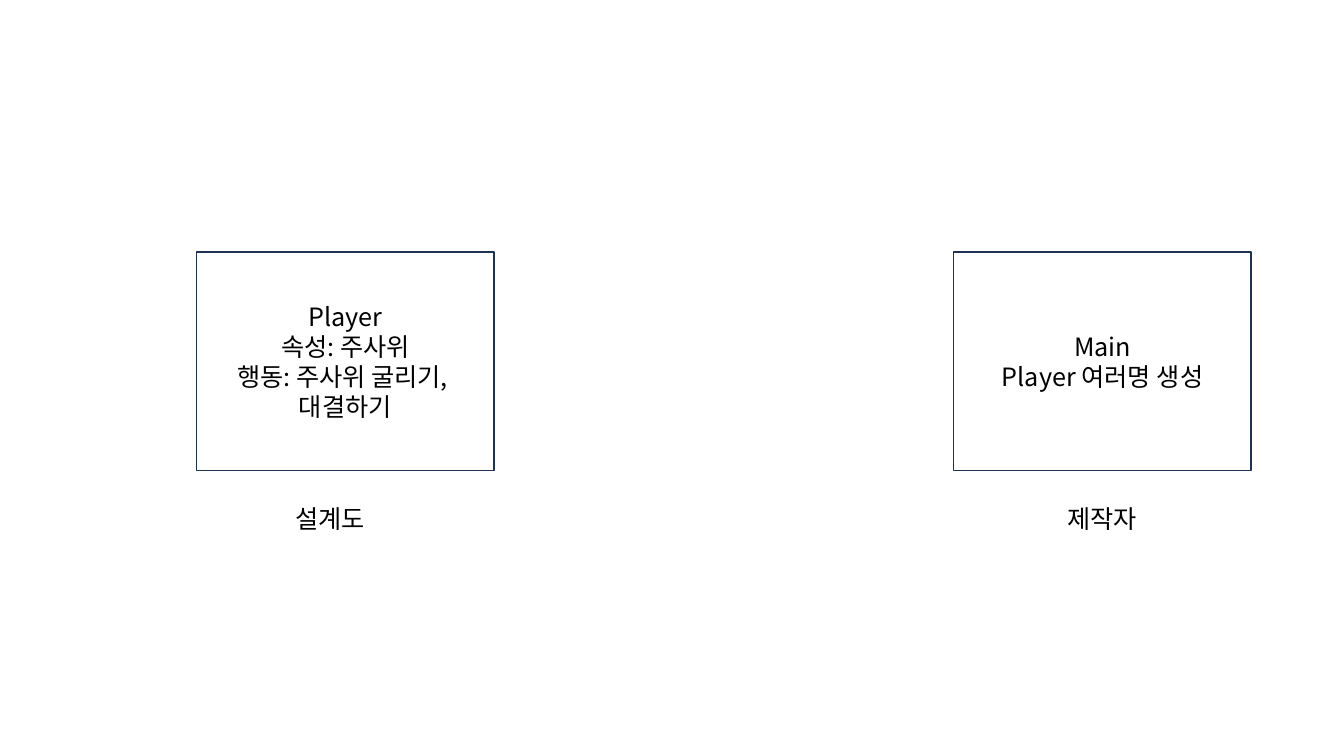
from lxml.etree import SubElement as Sub
from pptx import Presentation
from pptx.dml.color import RGBColor as Rgb
from pptx.enum.shapes import MSO_SHAPE as Kind
from pptx.enum.text import MSO_ANCHOR as Anchor, MSO_AUTO_SIZE as Auto, PP_ALIGN as Align
from pptx.oxml.ns import qn
from pptx.util import Inches, Pt

WIDE, HIGH = 13.33, 7.5


def color(code):
    return Rgb.from_string(code)


class Board:
    """Draws styled boxes and labels on one slide, placed by shares of its size."""

    face, size = "Noto Sans CJK KR", 18
    ink, paper, edge = "000000", "FFFFFF", "1E3256"

    def __init__(self, deck):
        self.wide, self.high = deck.slide_width, deck.slide_height
        self.slide = deck.slides.add_slide(deck.slide_layouts[6])

    def place(self, left, top, width, height):
        return [round(part * full) for part, full in zip(
            (left, top, width, height), (self.wide, self.high) * 2)]

    def fill_text(self, frame, lines, align):
        frame.word_wrap = True
        frame.text = "\n".join(lines)
        for line in frame.paragraphs:
            line.alignment = align
            font = line.font
            font.name, font.size = self.face, Pt(self.size)
            font.color.rgb = color(self.ink)
            Sub(font._element, qn("a:ea"), typeface=self.face)

    def box(self, area, lines):
        shape = self.slide.shapes.add_shape(Kind.RECTANGLE, *self.place(*area))
        shape.shadow.inherit = False
        shape.fill.solid()
        shape.fill.fore_color.rgb = color(self.paper)
        shape.line.color.rgb = color(self.edge)
        shape.line.width = Pt(1)
        shape.text_frame.vertical_anchor = Anchor.MIDDLE
        self.fill_text(shape.text_frame, lines, Align.CENTER)

    def label(self, area, text):
        frame = self.slide.shapes.add_textbox(*self.place(*area)).text_frame
        self.fill_text(frame, [text], Align.LEFT)
        frame.auto_size = Auto.SHAPE_TO_FIT_TEXT


def main():
    deck = Presentation()
    deck.slide_width, deck.slide_height = Inches(WIDE), Inches(HIGH)
    board = Board(deck)
    roles = [
        (1.95, ["Player", "속성: 주사위", "행동: 주사위 굴리기, ", "대결하기"],
         2.83, 2.18, "설계도"),
        (9.46, ["Main", "Player 여러명 생성"], 10.49, 1.57, "제작자"),
    ]
    for left, lines, start, width, name in roles:
        board.box((left / WIDE, 2.5 / HIGH, 2.95 / WIDE, 2.17 / HIGH), lines)
        board.label((start / WIDE, 4.94 / HIGH, width / WIDE, 0.4 / HIGH), name)
    deck.save("out.pptx")


if __name__ == "__main__":
    main()
